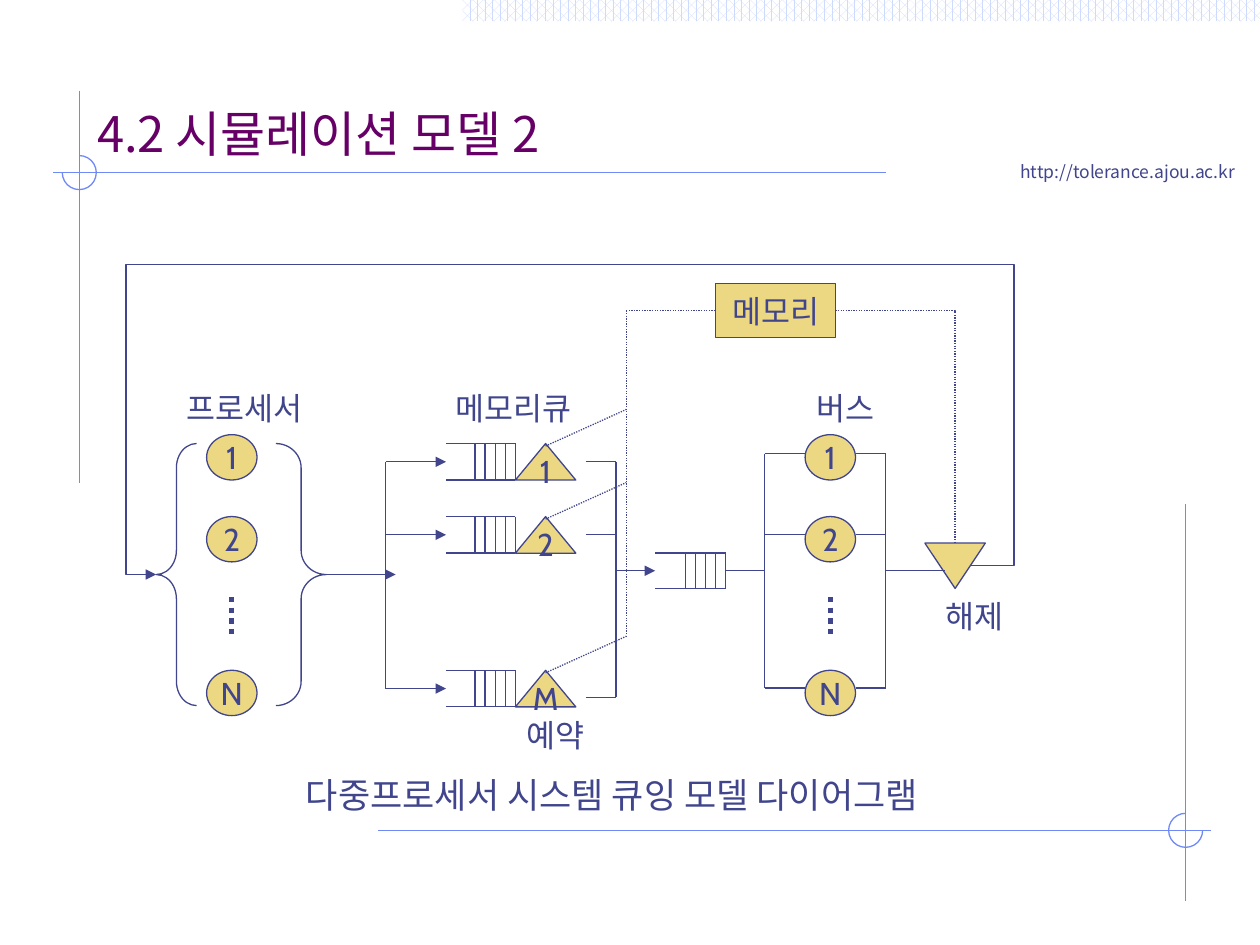
from dataclasses import dataclass

from lxml import etree
from pptx import Presentation
from pptx.dml.color import RGBColor
from pptx.enum.dml import MSO_LINE, MSO_PATTERN
from pptx.enum.shapes import MSO_CONNECTOR, MSO_SHAPE
from pptx.enum.text import MSO_ANCHOR, PP_ALIGN
from pptx.oxml.ns import qn
from pptx.util import Inches, Pt

STRAIGHT, ELBOW = MSO_CONNECTOR.STRAIGHT, MSO_CONNECTOR.ELBOW
OVAL, RECTANGLE, TRIANGLE = MSO_SHAPE.OVAL, MSO_SHAPE.RECTANGLE, MSO_SHAPE.ISOSCELES_TRIANGLE
LEFT_BRACE, RIGHT_BRACE, ARC = MSO_SHAPE.LEFT_BRACE, MSO_SHAPE.RIGHT_BRACE, MSO_SHAPE.ARC
DOTTED = MSO_LINE.ROUND_DOT
LEFT, CENTER = PP_ALIGN.LEFT, PP_ALIGN.CENTER
QUARTER_TURN = 54  # 90 degrees, in the unit of an arc's adjustments


@dataclass(frozen=True)
class Theme:
    ink: RGBColor = RGBColor(0x40, 0x45, 0x8C)
    gold: RGBColor = RGBColor(0xEC, 0xD8, 0x82)
    rule: RGBColor = RGBColor(0x6F, 0x89, 0xF7)
    title: RGBColor = RGBColor(0x66, 0x00, 0x66)
    band: RGBColor = RGBColor(0xCF, 0xDB, 0xFD)
    paper: RGBColor = RGBColor(0xFF, 0xFF, 0xFF)
    latin_font: str = "Cabin"
    korean_font: str = "Noto Sans CJK KR"
    title_size: int = 28
    caption_size: int = 20
    label_size: int = 18
    address_size: int = 10
    thin: float = 0.75
    thick: float = 3


@dataclass(frozen=True)
class Box:
    left: float
    top: float
    width: float
    height: float

    @property
    def right(self):
        return self.left + self.width

    @property
    def bottom(self):
        return self.top + self.height

    @property
    def middle(self):
        return self.top + self.height / 2

    def emu(self):
        return [Inches(side) for side in (self.left, self.top, self.width, self.height)]


THEME = Theme()
NODE_OFFSETS = (0, 0.65, 1.87)
QUEUE_OFFSETS = (0, 0.58, 1.8)


def write(frame, text, size, color=THEME.ink, font=THEME.latin_font, align=LEFT):
    frame.text = text
    para = frame.paragraphs[0]
    para.alignment = align
    span = para.runs[0]
    span.font.size, span.font.name = Pt(size), font
    span.font.color.rgb = color
    etree.SubElement(span.font._element, qn("a:ea"), typeface=THEME.korean_font)


def add_label(page, box, text, size=THEME.label_size, font=THEME.latin_font):
    frame = page.shapes.add_textbox(*box.emu()).text_frame
    frame.word_wrap = False
    write(frame, text, size, font=font)


def add_figure(page, preset, box, text="", fill=THEME.gold, line=THEME.ink):
    shape = page.shapes.add_shape(preset, *box.emu())
    shape.shadow.inherit = False
    if fill is None:
        shape.fill.background()
    else:
        shape.fill.solid()
        shape.fill.fore_color.rgb = fill
    shape.line.color.rgb, shape.line.width = line, Pt(THEME.thin)
    if text:
        shape.text_frame.word_wrap = False
        shape.text_frame.vertical_anchor = MSO_ANCHOR.MIDDLE
        write(shape.text_frame, text, THEME.label_size, align=CENTER)
    return shape


def add_line(page, start, end, kind=STRAIGHT, color=THEME.ink, weight=THEME.thin,
             dash=None, arrow=False):
    line = page.shapes.add_connector(kind, *[Inches(value) for value in (*start, *end)])
    line.line.color.rgb, line.line.width = color, Pt(weight)
    if dash:
        line.line.dash_style = dash
    if arrow:
        etree.SubElement(line.line._get_or_add_ln(), qn("a:tailEnd"), type="triangle")
    etree.SubElement(line._element.spPr, qn("a:effectLst"))
    return line


def set_bends(line, preset, *bends):
    """Choose an elbow preset and place its bends, as fractions of its size."""
    geometry = line._element.spPr.find(qn("a:prstGeom"))
    geometry.set("prst", preset)
    guides = geometry.find(qn("a:avLst"))
    if guides is None:
        guides = etree.SubElement(geometry, qn("a:avLst"))
    for number, bend in enumerate(bends, 1):
        etree.SubElement(guides, qn("a:gd"), name=f"adj{number}",
                         fmla=f"val {round(bend * 100000)}")


def add_header(page, box):
    band = page.shapes.add_shape(RECTANGLE, *Box(box.left + 3.67, box.top, 6.33, 0.17).emu())
    band.shadow.inherit = False
    band.line.fill.background()
    band.fill.patterned()
    band.fill.pattern = MSO_PATTERN.PERCENT_60
    band.fill.fore_color.rgb, band.fill.back_color.rgb = THEME.band, THEME.paper
    add_label(page, Box(box.right - 2, box.top + 1.23, 1.9, 0.27),
              "http://tolerance.ajou.ac.kr", THEME.address_size, THEME.korean_font)
    title = page.shapes.title
    title.left, title.top, title.width, title.height = Box(
        box.left + 0.67, box.top + 0.67, 7.08, 0.67).emu()
    title.text_frame.vertical_anchor = MSO_ANCHOR.BOTTOM
    write(title.text_frame, "4.2 시뮬레이션 모델 2", THEME.title_size, THEME.title, THEME.korean_font)


def add_corner(page, box, cross, first_quarter, last_quarter):
    """Two crossing rules spanning the box, with an open ring at the cross."""
    x, y = cross
    add_line(page, (box.left, y), (box.right, y), color=THEME.rule)
    add_line(page, (x, box.top), (x, box.bottom), color=THEME.rule)
    ring = add_figure(page, ARC, Box(x - 0.135, y - 0.135, 0.27, 0.27),
                      fill=None, line=THEME.rule)
    ring.adjustments[0] = first_quarter * QUARTER_TURN
    ring.adjustments[1] = last_quarter * QUARTER_TURN


def add_nodes(page, left, top):
    """A column of numbered circles with a dotted gap before the last."""
    for offset, text in zip(NODE_OFFSETS, "12N"):
        add_figure(page, OVAL, Box(left, top + offset, 0.4, 0.36), text)
    add_line(page, (left + 0.2, top + 1.29), (left + 0.2, top + 1.58),
             weight=THEME.thick, dash=DOTTED)


def add_queue(page, box):
    add_line(page, (box.left, box.top), (box.right, box.top))
    add_line(page, (box.left, box.bottom), (box.right, box.bottom))
    for slot in range(5):
        x = box.right - slot * 0.08
        add_line(page, (x, box.top), (x, box.bottom))


def add_processors(page, box):
    add_label(page, Box(box.left + 0.14, box.top - 0.48, 1.2, 0.4), "프로세서")
    add_nodes(page, box.left + 0.4, box.top - 0.07)
    for preset, left, width, curl in ((LEFT_BRACE, box.left, 0.32, 0.6),
                                      (RIGHT_BRACE, box.right - 0.4, 0.4, 0.48)):
        brace = add_figure(page, preset, Box(left, box.top, width, box.height), fill=None)
        brace.adjustments[0] = curl
    add_line(page, (box.right, box.middle), (box.right + 0.55, box.middle), arrow=True)


def add_memory_queues(page, box):
    add_label(page, Box(box.left + 0.46, box.top - 0.48, 1.2, 0.4), "메모리큐")
    add_label(page, Box(box.left + 1.02, box.bottom + 0.02, 0.7, 0.4), "예약")
    queue_left, fork_ends = box.left + 0.48, []
    for offset, text in zip(QUEUE_OFFSETS, "12M"):
        row = Box(queue_left, box.top + offset, 0.55, 0.29)
        add_queue(page, row)
        add_figure(page, TRIANGLE, Box(row.right, row.top, 0.48, row.height), text)
        add_line(page, (box.left, row.middle), (queue_left, row.middle), arrow=True)
        fork_ends.append(row.middle)
    add_line(page, (box.left, fork_ends[0]), (box.left, fork_ends[-1]))
    exits = (fork_ends[0], fork_ends[1], fork_ends[2] + 0.07)
    for y in exits:
        add_line(page, (box.right - 0.24, y), (box.right, y))
    add_line(page, (box.right, exits[0]), (box.right, exits[-1]))


def add_bus(page, box):
    queue = Box(box.left + 0.31, box.top + 0.94, 0.56, 0.28)
    add_line(page, (box.left, queue.middle), (queue.left, queue.middle), arrow=True)
    add_queue(page, queue)
    fork, join, node_left = queue.right + 0.31, box.right, box.right - 0.64
    add_line(page, (queue.right, queue.middle), (fork, queue.middle))
    rows = [box.top + offset for offset in (0.15, 0.79, 2.01)]
    for x in (fork, join):
        add_line(page, (x, rows[0]), (x, rows[-1]))
    for y in rows:
        add_line(page, (fork, y), (node_left, y))
        add_line(page, (node_left + 0.4, y), (join, y))
    add_nodes(page, node_left, box.top)
    add_label(page, Box(node_left - 0.01, box.top - 0.41, 0.7, 0.4), "버스")


def add_release(page, box, entry):
    """The release triangle and the loop leading back to the entry point."""
    triangle = add_figure(page, TRIANGLE, box)
    triangle.rotation = 180
    add_line(page, (box.left - 0.31, entry[1] - 0.03), (box.left + 0.16, entry[1] - 0.03))
    add_label(page, Box(box.left + 0.07, box.bottom + 0.02, 0.7, 0.4), "해제")
    start = (box.right - 0.12, box.middle)
    width, height = entry[0] - start[0], entry[1] - start[1]
    loop = add_line(page, start, entry, ELBOW, arrow=True)
    set_bends(loop, "bentConnector5", 0.35 / width, (2.1 - start[1]) / height,
              1 - 0.24 / width)
    return triangle


def add_memory(page, box, release, release_top):
    """The memory, linked by dotted lines to the reservations and the release."""
    memory = add_figure(page, RECTANGLE, box, "메모리")
    to_release = add_line(page, (box.right, box.middle), release_top, ELBOW, dash=DOTTED)
    to_release.begin_connect(memory, 3)
    to_release.end_connect(release, 3)
    to_release.end_x, to_release.end_y = [Inches(value) for value in release_top]
    set_bends(to_release, "bentConnector2")
    trunk = box.left - 0.71
    add_line(page, (trunk, box.middle), (trunk, 5.05), dash=DOTTED)
    for offset in QUEUE_OFFSETS:
        y = 3.54 + offset
        add_line(page, (trunk - 0.64, y), (trunk, y - 0.29), dash=DOTTED)
    link = add_line(page, (trunk, box.middle), (box.left, box.middle), dash=DOTTED)
    link.end_connect(memory, 1)


def main():
    deck = Presentation()
    deck.slide_width, deck.slide_height = Inches(10), Inches(7.5)
    page = deck.slides.add_slide(deck.slide_layouts[5])
    add_header(page, Box(0, 0, 10, 1.5))
    add_corner(page, Box(3, 4, 6.61, 3.15), (9.41, 6.59), 0, 3)
    add_corner(page, Box(0.42, 0.72, 6.61, 3.11), (0.63, 1.37), 3, 2)
    add_processors(page, Box(1.24, 3.52, 1.35, 2.08))
    add_memory_queues(page, Box(3.06, 3.52, 1.83, 2.09))
    add_bus(page, Box(4.89, 3.45, 2.14, 2.23))
    release = add_release(page, Box(7.34, 4.31, 0.48, 0.36), (1.24, 4.56))
    add_memory(page, Box(5.68, 2.25, 0.95, 0.43), release, (7.58, 4.31))
    add_label(page, Box(2.33, 6.09, 5.55, 0.43), "다중프로세서 시스템 큐잉 모델 다이어그램",
              THEME.caption_size)
    deck.save("out.pptx")


if __name__ == "__main__":
    main()
